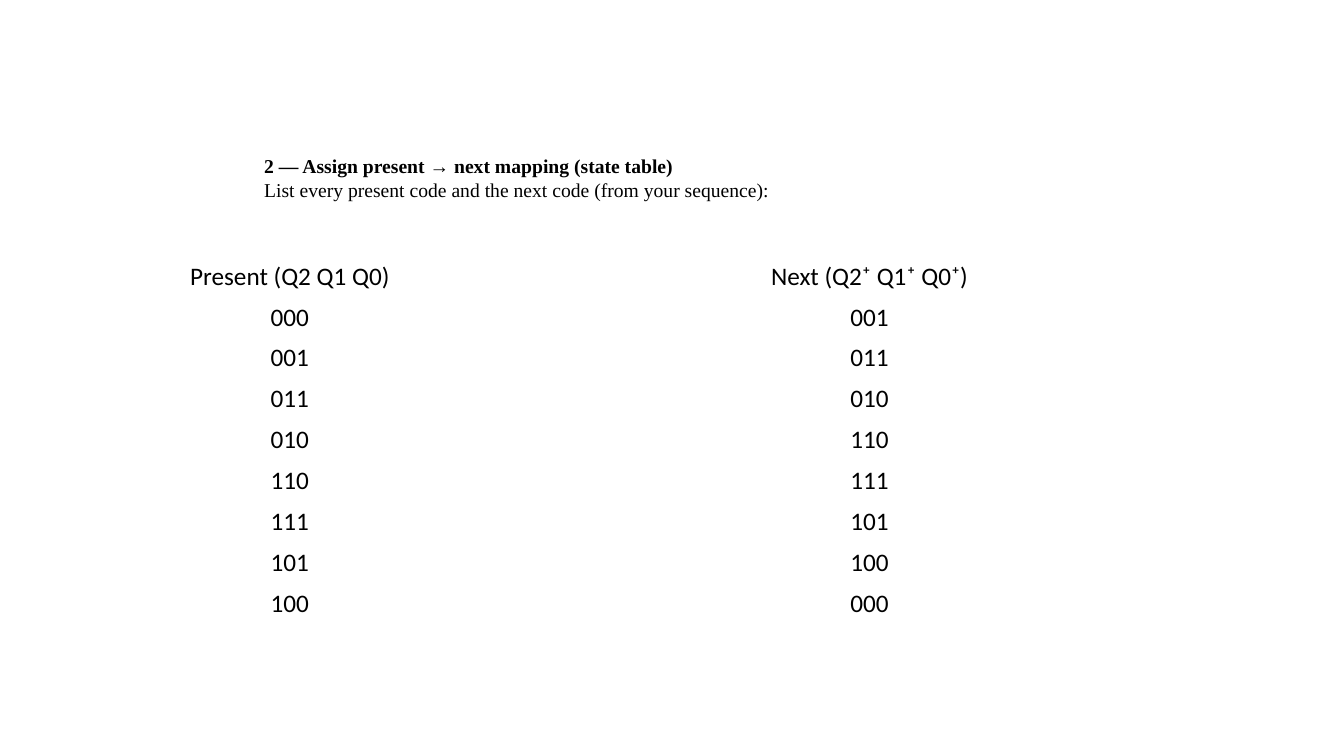
from pptx import Presentation
from pptx.dml.color import RGBColor
from pptx.enum.text import MSO_ANCHOR as Anchor, MSO_AUTO_SIZE as Fit, PP_ALIGN as Align
from pptx.util import Inches, Pt

BLACK = RGBColor(0, 0, 0)
HEADS = ("Present (Q2 Q1 Q0)", "Next (Q2⁺ Q1⁺ Q0⁺)")
CODES = ("000", "001", "011", "010", "110", "111", "101", "100")


def add_run(para, text, font, size, align, bold=False):
    para.alignment = align
    run = para.add_run()
    run.text = text
    run.font.name = font
    run.font.size = Pt(size)
    run.font.bold = bold
    run.font.color.rgb = BLACK


def set_title(slide, head, note):
    title = slide.shapes.title
    title.left, title.top = Inches(2.52), Inches(1.46)
    title.width, title.height = Inches(5.66), Inches(0.81)
    frame = title.text_frame
    frame.word_wrap = True
    frame.auto_size = Fit.NONE
    frame.vertical_anchor = Anchor.TOP
    frame.margin_top = Inches(0.07)
    for para, text, bold in (
        (frame.paragraphs[0], head, True),
        (frame.add_paragraph(), note, False),
    ):
        add_run(para, text, "Times New Roman", 14, Align.JUSTIFY, bold)


def add_states(slide, rows):
    table = slide.shapes.add_table(
        len(rows), len(HEADS), Inches(0), Inches(2.54),
        Inches(11.5), Inches(0.4 * len(rows))).table
    table.first_row = False
    table.horz_banding = False
    for row, texts in zip(table.rows, rows):
        for cell, text in zip(row.cells, texts):
            cell.fill.background()
            cell.vertical_anchor = Anchor.MIDDLE
            add_run(cell.text_frame.paragraphs[0], text, "Calibri", 18, Align.CENTER)


def main():
    deck = Presentation()
    deck.slide_width, deck.slide_height = Inches(13.33), Inches(7.5)
    slide = deck.slides.add_slide(deck.slide_layouts.get_by_name("Title Only"))
    set_title(slide, "2 — Assign present → next mapping (state table)",
              "List every present code and the next code (from your sequence):")
    # Each code leads to the one after it, and the last leads back to the first.
    follow = CODES[1:] + CODES[:1]
    add_states(slide, [HEADS, *zip(CODES, follow)])
    deck.save("out.pptx")


if __name__ == "__main__":
    main()
